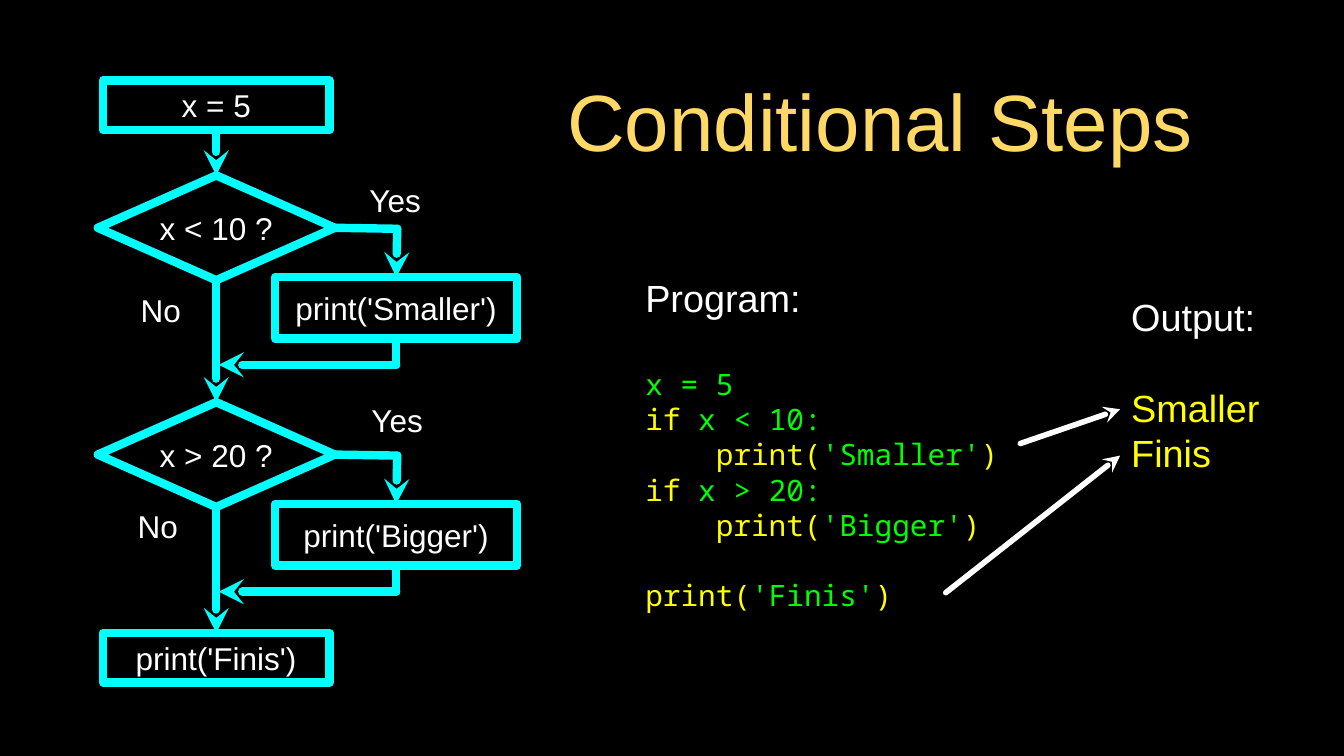
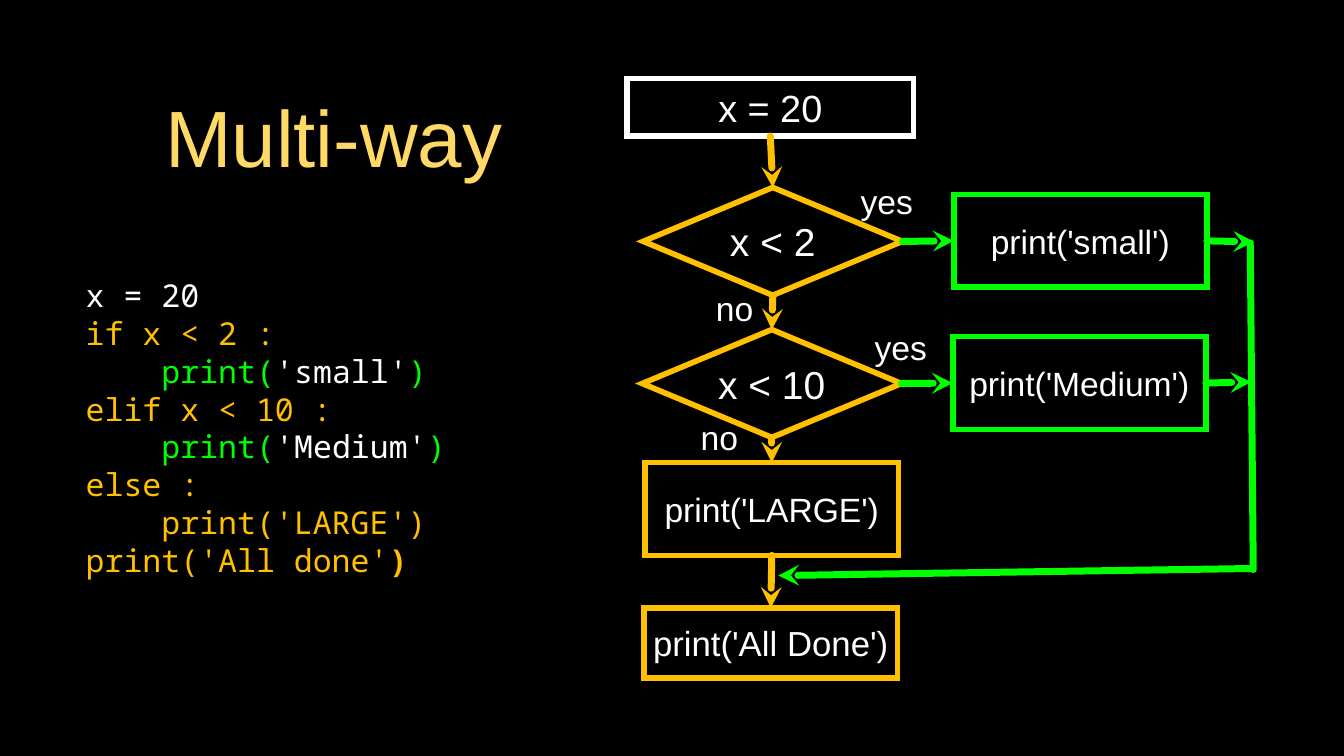
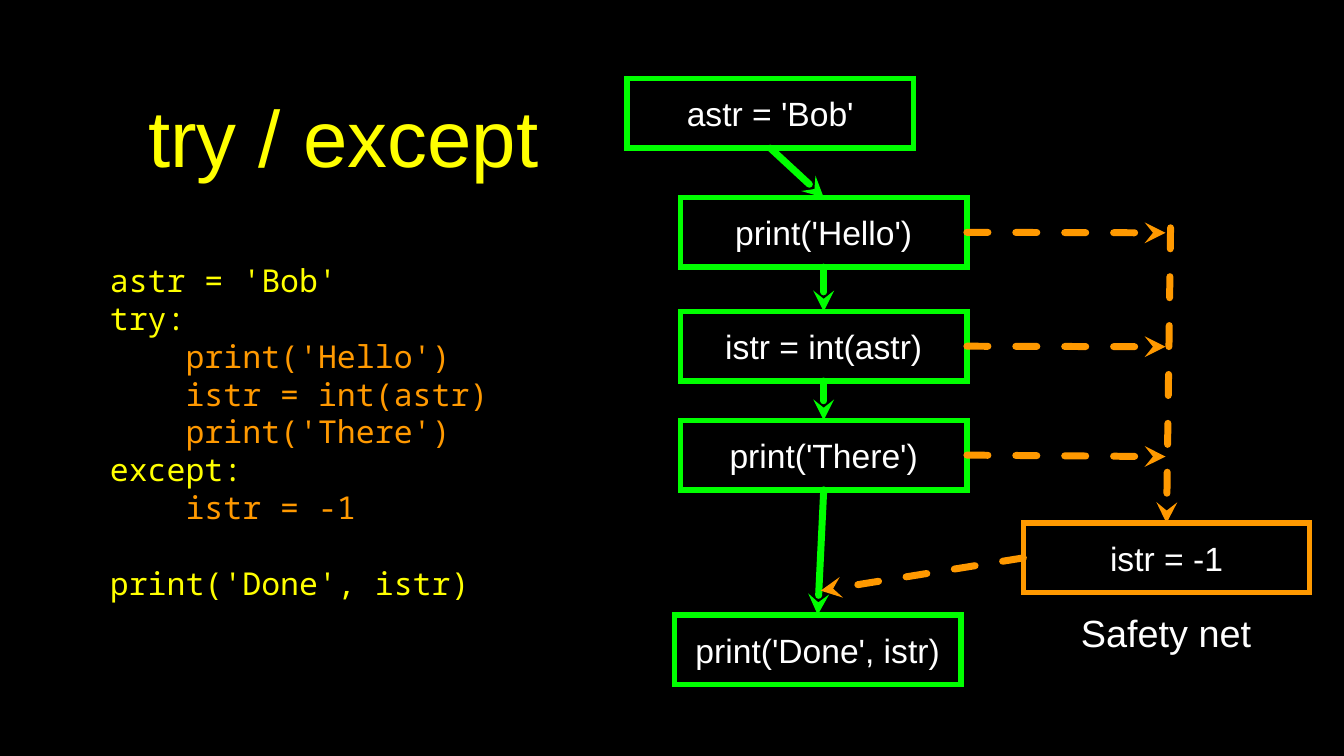
from lxml import etree
from pptx import Presentation
from pptx.dml.color import RGBColor
from pptx.enum.dml import MSO_LINE
from pptx.enum.shapes import MSO_CONNECTOR, MSO_SHAPE
from pptx.enum.text import MSO_ANCHOR, MSO_AUTO_SIZE, PP_ALIGN
from pptx.oxml.ns import qn
from pptx.util import Inches, Pt

RECT, DIAMOND = MSO_SHAPE.RECTANGLE, MSO_SHAPE.DIAMOND
STRAIGHT, DASH = MSO_CONNECTOR.STRAIGHT, MSO_LINE.DASH
LEFT_ALIGN, CENTER, MIDDLE = PP_ALIGN.LEFT, PP_ALIGN.CENTER, MSO_ANCHOR.MIDDLE
NO_FIT = MSO_AUTO_SIZE.NONE
TOP, LEFT, BOTTOM, RIGHT = range(4)

BLACK = RGBColor(0x00, 0x00, 0x00)
WHITE = RGBColor(0xFF, 0xFF, 0xFF)
GOLD = RGBColor(0xFF, 0xD9, 0x66)
YELLOW = RGBColor(0xFF, 0xFF, 0x00)
GREEN = RGBColor(0x00, 0xFF, 0x00)
CYAN = RGBColor(0x00, 0xFF, 0xFF)
AMBER = RGBColor(0xFF, 0xC0, 0x00)
ORANGE = RGBColor(0xFF, 0x99, 0x00)

SANS, MONO = "Arial", "Noto Sans Mono"
TITLE_SIZE, LARGE_SIZE = 57, 27
LINE_HEIGHT = 1.2  # times the text size

# A line of text is a list of (text, colour) spans; an empty list is a gap.
HEADED_PROGRAM = [
    [("x = 5", GREEN)],
    [("if ", YELLOW), ("x < 10:", GREEN)],
    [("    print(", YELLOW), ("'Smaller'", GREEN), (")", YELLOW)],
    [("if ", YELLOW), ("x > 20:", GREEN)],
    [("    print(", YELLOW), ("'Bigger'", GREEN), (")", YELLOW)],
    [],
    [("print(", YELLOW), ("'Finis'", GREEN), (")", YELLOW)],
]
OUTPUT = [[("Output:", WHITE)], [], [("Smaller", YELLOW)], [("Finis", YELLOW)]]
MULTI_WAY_PROGRAM = [
    [("x = 20", WHITE)],
    [("if x < 2 :", AMBER)],
    [("    print(", GREEN), ("'small'", WHITE), (")", GREEN)],
    [("elif x < 10 :", AMBER)],
    [("    print(", GREEN), ("'Medium'", WHITE), (")", GREEN)],
    [("else :", AMBER)],
    [("    print('LARGE')", AMBER)],
    [("print('All done'", AMBER), (")", AMBER)],
]
TRY_PROGRAM = [
    [("astr = 'Bob'", YELLOW)],
    [("try:", YELLOW)],
    [("    print('Hello')", ORANGE)],
    [("    istr = int(astr)", ORANGE)],
    [("    print('There')", ORANGE)],
    [("except:", YELLOW)],
    [("    istr = -1", ORANGE)],
    [],
    [("print('Done', istr)", YELLOW)],
]

# Boxes: text, left, top, width, height, preset, colour, text size
MULTI_WAY_BOXES = [
    ("x = 20", 6.22, 0.78, 2.84, 0.57, RECT, WHITE, 27),
    ("x < 2", 6.38, 1.86, 2.57, 1.07, DIAMOND, AMBER, 27.8),
    ("x < 10", 6.37, 3.27, 2.57, 1.07, DIAMOND, AMBER, 27.8),
    ("print('small')", 9.46, 1.93, 2.51, 0.92, RECT, GREEN, 24),
    ("print('Medium')", 9.45, 3.34, 2.51, 0.92, RECT, GREEN, 24),
    ("print('LARGE')", 6.4, 4.59, 2.51, 0.92, RECT, AMBER, 24),
    ("print('All Done')", 6.39, 6.03, 2.51, 0.7, RECT, AMBER, 24.8),
]
TRY_BOXES = [
    (text, left, top, 2.84, 0.69, RECT, color, 24)
    for text, left, top, color in [
        ("astr = 'Bob'", 6.22, 0.78, GREEN),
        ("print('Hello')", 6.75, 1.96, GREEN),
        ("istr = int(astr)", 6.75, 3.09, GREEN),
        ("print('There')", 6.75, 4.17, GREEN),
        ("print('Done', istr)", 6.69, 6.1, GREEN),
        ("istr = -1", 10.15, 5.19, ORANGE),
    ]
]

# Labels: text, left, top, width, height
STEP_LABELS = [
    ("Yes", 3.62, 1.73, 0.6, 0.51),
    ("No", 1.3, 2.78, 0.59, 0.58),
    ("Yes", 3.64, 3.91, 0.6, 0.51),
    ("No", 1.27, 5, 0.59, 0.43),
]
MULTI_WAY_LABELS = [
    ("yes", 8.51, 1.79, 0.57, 0.4),
    ("no", 7.09, 2.86, 0.39, 0.4),
    ("yes", 8.62, 3.24, 0.63, 0.4),
    ("no", 6.94, 4.14, 0.39, 0.4),
]

# Conditional steps: question, action, top of the question
STEPS = [("x < 10 ?", "print('Smaller')", 1.74), ("x > 20 ?", "print('Bigger')", 3.99)]


def write_line(para, spans, size, font, align):
    """Fill one paragraph with coloured spans."""
    para.alignment = align
    para.line_spacing = Pt(size * LINE_HEIGHT)
    for text, color in spans:
        span = para.add_run()
        span.text = text
        span.font.name, span.font.size = font, Pt(size)
        span.font.color.rgb = color


def prepare_frame(frame, inset=0):
    frame.word_wrap = True
    frame.auto_size = NO_FIT
    frame.vertical_anchor = MIDDLE
    frame.margin_left = frame.margin_right = Inches(inset)
    frame.margin_top = frame.margin_bottom = Inches(inset)


def add_text(page, at, lines, size, font=SANS, align=LEFT_ALIGN, heading=None):
    """Add a text box, with an optional larger heading over its lines."""
    frame = page.shapes.add_textbox(*map(Inches, at)).text_frame
    prepare_frame(frame)
    para, gap = frame.paragraphs[0], 0
    if heading:
        write_line(para, [(heading, WHITE)], LARGE_SIZE, SANS, align)
        para, gap = None, LARGE_SIZE * LINE_HEIGHT
    for spans in lines:
        if not spans:
            gap = size * LINE_HEIGHT
            continue
        para = para or frame.add_paragraph()
        write_line(para, spans, size, font, align)
        if gap:
            para.space_before = Pt(gap)
        para, gap = None, 0
    return frame


def add_labels(page, labels, size):
    for text, *at in labels:
        add_text(page, at, [[(text, WHITE)]], size, align=CENTER)


def add_boxes(page, boxes, line_width, join):
    """Add outlined flowchart boxes and return them by their text."""
    shapes = {}
    for text, left, top, width, height, preset, color, size in boxes:
        at = map(Inches, (left, top, width, height))
        box = page.shapes.add_shape(preset, *at)
        box.shadow.inherit = False
        box.fill.background()
        box.line.color.rgb = color
        box.line.width = Pt(line_width)
        etree.SubElement(box.line._get_or_add_ln(), qn("a:" + join))
        prepare_frame(box.text_frame)
        write_line(box.text_frame.paragraphs[0], [(text, WHITE)], size, SANS, CENTER)
        shapes[text] = box
    return shapes


def add_lines(page, boxes, lines, color, width, arrow=True, dash=None):
    """Draw straight lines; an end is a point or (box text, side)."""
    for start, end in lines:
        line = page.shapes.add_connector(STRAIGHT, 0, 0, 0, 0)
        if start[0] in boxes:
            line.begin_connect(boxes[start[0]], start[1])
        else:
            line.begin_x, line.begin_y = map(Inches, start)
        if end[0] in boxes:
            line.end_connect(boxes[end[0]], end[1])
        else:
            line.end_x, line.end_y = map(Inches, end)
        line.line.color.rgb = color
        line.line.width = Pt(width)
        if dash:
            line.line.dash_style = dash
        outline = line.line._get_or_add_ln()
        outline.set("cap", "rnd")
        etree.SubElement(outline, qn("a:round"))
        if arrow:
            etree.SubElement(outline, qn("a:tailEnd"), type="stealth")
        etree.SubElement(line._element.spPr, qn("a:effectLst"))


def add_page(deck, title, at, color=GOLD):
    page = deck.slides.add_slide(deck.slide_layouts[5])
    box = page.shapes.title
    box.left, box.top, box.width, box.height = map(Inches, at)
    prepare_frame(box.text_frame, 0.03)
    write_line(box.text_frame.paragraphs[0], [(title, color)], TITLE_SIZE, SANS, CENTER)
    return page


def chain(*names):
    """Lines from the bottom of each box to the top of the next."""
    return [((a, BOTTOM), (b, TOP)) for a, b in zip(names, names[1:])]


def build_conditional_steps(deck):
    page = add_page(deck, "Conditional Steps", (4.8, 0.63, 7.86, 1.12))
    add_text(page, (11.22, 2.92, 1.3, 1.79), OUTPUT, LARGE_SIZE)
    add_text(page, (6.4, 2.36, 3.72, 4.09), HEADED_PROGRAM, 21, MONO, heading="Program:")

    # Flowchart boxes and the branch beside each question
    first, last = "x = 5", "print('Finis')"
    specs = [(first, 1.02, 0.8, 2.25, 0.49, RECT, CYAN, 22.5),
             (last, 1.02, 6.28, 2.25, 0.49, RECT, CYAN, 22.5)]
    arrows = chain(first, *[step[0] for step in STEPS], last)
    plain = []
    for question, action, top in STEPS:
        specs += [(question, 0.97, top, 2.35, 1.04, DIAMOND, CYAN, 22.5),
                  (action, 2.73, top + 1.01, 2.4, 0.61, RECT, CYAN, 22.5)]
        corner, merge = (3.94, top + 0.53), (3.93, top + 1.88)
        plain += [((question, RIGHT), corner), ((action, BOTTOM), merge)]
        arrows += [(corner, (action, TOP)), (merge, (2.17, top + 1.88))]
    boxes = add_boxes(page, specs, 6, "round")
    add_lines(page, boxes, plain, CYAN, 6, arrow=False)
    add_lines(page, boxes, arrows, CYAN, 6)
    add_labels(page, STEP_LABELS, 22.5)

    # From the program to its output
    results = [((10.12, 4.4), (11.11, 4.06)), ((9.38, 5.88), (11.11, 4.52))]
    add_lines(page, boxes, results, WHITE, 4)


def build_multi_way(deck):
    page = add_page(deck, "Multi-way", (0.95, 0.61, 4.72, 1.47))
    code = add_text(page, (0.85, 2.41, 4.19, 3.66), MULTI_WAY_PROGRAM, 22.5, MONO)
    code.paragraphs[-1].runs[-1].font.bold = True

    boxes = add_boxes(page, MULTI_WAY_BOXES, 4, "miter")
    down = chain("x = 20", "x < 2", "x < 10", "print('LARGE')", "print('All Done')")
    add_lines(page, boxes, down, AMBER, 5)

    # Yes branches run to the right and return below
    across = [
        (("x < 2", RIGHT), ("print('small')", LEFT)),
        (("x < 10", RIGHT), ("print('Medium')", LEFT)),
        (("print('small')", RIGHT), (12.44, 2.4)),
        (("print('Medium')", RIGHT), (12.41, 3.79)),
        ((12.42, 5.64), (7.72, 5.71)),
    ]
    add_lines(page, boxes, across, GREEN, 5)
    add_lines(page, boxes, [((12.4, 2.41), (12.43, 5.65))], GREEN, 5, arrow=False)
    add_labels(page, MULTI_WAY_LABELS, 24)


def build_try_except(deck):
    page = add_page(deck, "try / except", (0.95, 0.61, 4.91, 1.47), YELLOW)
    add_text(page, (1.09, 2.33, 4.24, 3.9), TRY_PROGRAM, 22.5, MONO)

    boxes = add_boxes(page, TRY_BOXES, 4, "miter")
    tried = ["print('Hello')", "istr = int(astr)", "print('There')"]
    add_lines(page, boxes, chain("astr = 'Bob'", *tried, "print('Done', istr)"), GREEN, 5)

    # Each tried step can drop into the safety net
    falls = [((name, RIGHT), (11.56, y)) for name, y in zip(tried, (2.31, 3.44, 4.53))]
    falls += [((11.61, 2.26), ("istr = -1", TOP)), (("istr = -1", LEFT), (8.14, 5.86))]
    add_lines(page, boxes, falls, ORANGE, 5, dash=DASH)
    add_labels(page, [("Safety net", 10.6, 6.02, 1.93, 0.51)], LARGE_SIZE)


def main():
    deck = Presentation()
    deck.slide_width, deck.slide_height = Inches(13.33), Inches(7.5)
    backdrop = deck.slide_master.background.fill
    backdrop.solid()
    backdrop.fore_color.rgb = BLACK
    build_conditional_steps(deck)
    build_multi_way(deck)
    build_try_except(deck)
    deck.save("out.pptx")


if __name__ == "__main__":
    main()
